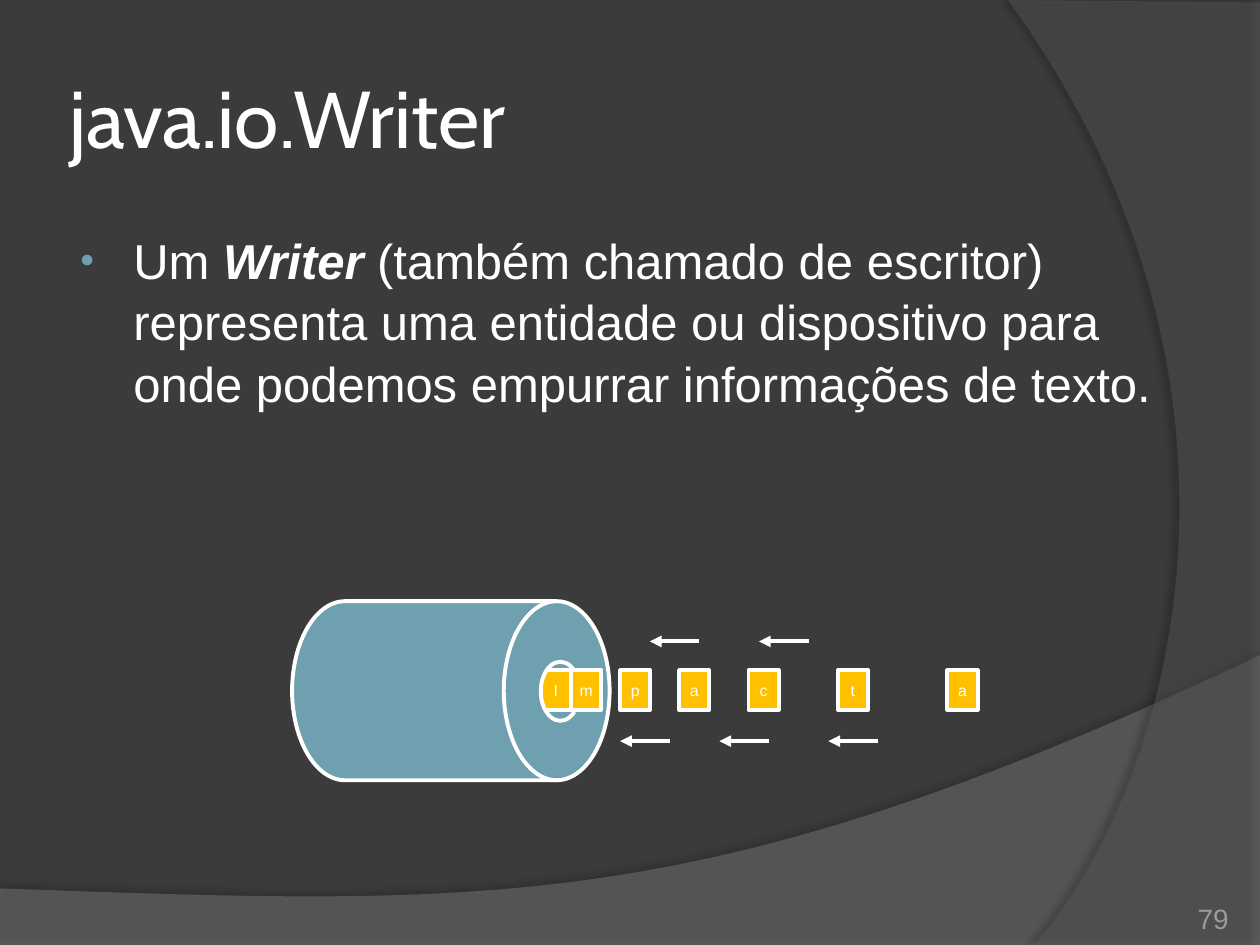
"""Build the java.io.Writer slide: a drum that takes in a stream of letters."""
from dataclasses import dataclass

from lxml import etree
from pptx import Presentation
from pptx.dml.color import RGBColor
from pptx.enum import shapes, text
from pptx.oxml import ns
from pptx.util import Cm, Pt

COLORS = {
    "background": "3B3B3B", "bottom": "7F7F7F", "side": "5E5E5E",
    "white": "FFFFFF", "drum": "6EA0B0", "letter": "FFC000",
    "number": "9D9B9A", "shadow": "000000",
}
Point = tuple[float, float]


@dataclass
class Wave:
    corners: list[Point]
    controls: tuple[Point, Point]
    end: Point
    color: str
    alpha: int
    shadow_alpha: int
    distance: float
    direction: int


@dataclass
class Letter:
    char: str
    left: float


@dataclass
class Arrow:
    start: float
    top: float


WAVES = [
    Wave([(0, 17.91), (0, 19.05), (25.4, 19.05), (25.4, 13.21)],
         ((14.2, 18.52), (9.93, 18.26)), (0, 17.91), "bottom", 45, 35, 3.5, 270),
    Wave([(25.4, 0.05), (25.4, 19.05), (20.85, 19.05)],
         ((23.75, 15.72), (25.86, 7.62)), (20.32, 0), "side", 40, 45, 4, 180),
]
LETTERS = [Letter("I", 10.9), Letter("m", 11.51), Letter("p", 12.5), Letter("a", 13.69),
           Letter("c", 15.09), Letter("t", 16.89), Letter("a", 19.1)]
UPPER, LOWER = 12.93, 14.94
ARROWS = [Arrow(14.1, UPPER), Arrow(16.3, UPPER),
          Arrow(13.5, LOWER), Arrow(15.5, LOWER), Arrow(17.7, LOWER)]


def rgb(name: str) -> RGBColor:
    """Return a named colour."""
    return RGBColor.from_string(COLORS[name])


def add_child(parent, tag: str, **attributes):
    """Append a DrawingML element."""
    values = {key: str(value) for key, value in attributes.items()}
    return etree.SubElement(parent, ns.qn(tag), values)


def write(frame, runs, *, size, font="Arial", color="white", align=text.PP_ALIGN.LEFT,
          anchor=text.MSO_ANCHOR.TOP, insets=(0.25, 0.13), bullet=None, spacing=None):
    """Fill a text frame with one paragraph of (words, emphasis) runs."""
    frame.word_wrap = True
    frame.vertical_anchor = anchor
    frame.margin_left = frame.margin_right = Cm(insets[0])
    frame.margin_top = frame.margin_bottom = Cm(insets[1])
    paragraph = frame.paragraphs[0]
    paragraph.alignment = align
    if spacing:
        paragraph.line_spacing = spacing
    if bullet:
        properties = paragraph._p.get_or_add_pPr()
        properties.set("marL", str(Cm(1.17)))
        properties.set("indent", str(Cm(-1.07)))
        add_child(add_child(properties, "a:buClr"), "a:srgbClr", val=COLORS["drum"])
        add_child(properties, "a:buSzPct", val=80000)
        add_child(properties, "a:buFont", typeface="Arial")
        add_child(properties, "a:buChar", char=bullet)
    for words, emphasis in runs:
        run = paragraph.add_run()
        run.text = words
        run.font.size, run.font.name = Pt(size), font
        run.font.color.rgb = rgb(color)
        run.font.bold = run.font.italic = emphasis


def draw_wave(slide, wave: Wave, steps: int = 60) -> None:
    """Draw a translucent background wave with one curved edge."""
    bezier = (wave.corners[-1], *wave.controls, wave.end)
    curve = []
    for step in range(1, steps + 1):
        t = step / steps
        weights = ((1 - t) ** 3, 3 * t * (1 - t) ** 2, 3 * t * t * (1 - t), t ** 3)
        curve.append(tuple(sum(w * p[axis] for w, p in zip(weights, bezier))
                           for axis in (0, 1)))
    outline = [(Cm(x), Cm(y)) for x, y in wave.corners + curve]
    builder = slide.shapes.build_freeform(*outline[0])
    builder.add_line_segments(outline[1:], close=True)
    shape = builder.convert_to_shape()
    style(shape, wave.color, outlined=False)
    properties = shape._element.spPr
    add_child(properties.find(".//" + ns.qn("a:srgbClr")), "a:alpha", val=wave.alpha * 1000)
    shadow = add_child(properties.find(ns.qn("a:effectLst")), "a:outerShdw",
                       blurRad=Pt(4), dist=Pt(wave.distance),
                       dir=wave.direction * 60000, algn="ctr", rotWithShape=0)
    shade = add_child(shadow, "a:srgbClr", val=COLORS["shadow"])
    add_child(shade, "a:alpha", val=wave.shadow_alpha * 1000)


def style(shape, fill: str | None, outlined: bool = True) -> None:
    """Set the fill and the white outline of a shape, without shadow."""
    if fill:
        shape.fill.solid()
        shape.fill.fore_color.rgb = rgb(fill)
    else:
        shape.fill.background()
    if outlined:
        shape.line.color.rgb = rgb("white")
        shape.line.width = Pt(2.25)
    else:
        shape.line.fill.background()
    shape.shadow.inherit = False


def draw_shape(slide, kind, box, fill: str | None, outlined: bool = True, rotation: float = 0):
    """Draw a preset shape in a box of left, top, width and height."""
    shape = slide.shapes.add_shape(kind, *map(Cm, box))
    shape.rotation = rotation
    style(shape, fill, outlined)
    return shape


def draw_letter(slide, letter: Letter) -> None:
    """Draw one letter of the stream."""
    tile = draw_shape(slide, shapes.MSO_SHAPE.RECTANGLE,
                      (letter.left, 13.51, 0.61, 0.8), "letter")
    write(tile.text_frame, [(letter.char, False)], size=9, align=text.PP_ALIGN.CENTER,
          anchor=text.MSO_ANCHOR.MIDDLE, insets=(0, 0.13))


def draw_arrow(slide, arrow: Arrow) -> None:
    """Draw an arrow pointing left to the drum."""
    y = Cm(arrow.top)
    line = slide.shapes.add_connector(shapes.MSO_CONNECTOR.STRAIGHT,
                                      Cm(arrow.start), y, Cm(arrow.start - 1), y)
    line.line.color.rgb = rgb("white")
    line.line.width = Pt(2.25)
    add_child(line.line._get_or_add_ln(), "a:tailEnd", type="triangle")
    add_child(line._element.spPr, "a:effectLst")


def add_text(slide, box, runs, **formats) -> None:
    """Add a text box in a box of left, top, width and height."""
    write(slide.shapes.add_textbox(*map(Cm, box)).text_frame, runs, **formats)


def main() -> None:
    """Build and save the slide."""
    deck = Presentation()
    deck.slide_width, deck.slide_height = Cm(25.4), Cm(19.05)
    slide = deck.slides.add_slide(deck.slide_layouts[6])
    slide.background.fill.solid()
    slide.background.fill.fore_color.rgb = rgb("background")
    for wave in WAVES:
        draw_wave(slide, wave)

    add_text(slide, (1.27, 0.76, 20.75, 3.18), [("java.io.Writer", False)], size=46,
             font="Cabin", anchor=text.MSO_ANCHOR.MIDDLE, insets=(0.13, 0.13))
    definition = [("Um ", False), ("Writer ", True),
                  ("(também chamado de escritor) representa uma entidade ou dispositivo "
                   "para onde podemos empurrar informações de texto.", False)]
    add_text(slide, (1.27, 4.45, 22.83, 5.08), definition, size=28, bullet="•", spacing=1.05)
    add_text(slide, (22.66, 17.83, 2.11, 1.02), [("79", False)], size=16, color="number",
             align=text.PP_ALIGN.RIGHT, anchor=text.MSO_ANCHOR.BOTTOM, insets=(0, 0))

    kinds = shapes.MSO_SHAPE
    draw_shape(slide, kinds.FLOWCHART_DIRECT_ACCESS_STORAGE, (5.89, 12.12, 6.4, 3.61), "drum")
    for letter in LETTERS:
        draw_letter(slide, letter)
    draw_shape(slide, kinds.BLOCK_ARC, (10.31, 13.13, 2.01, 1.6), "drum", False, 270)
    mouth = draw_shape(slide, kinds.ARC, (10.9, 13.34, 0.79, 1.19), None, rotation=180)
    mouth.adjustments[0], mouth.adjustments[1] = 141.42, 75.39
    for arrow in ARROWS:
        draw_arrow(slide, arrow)
    deck.save("out.pptx")


if __name__ == "__main__":
    main()
